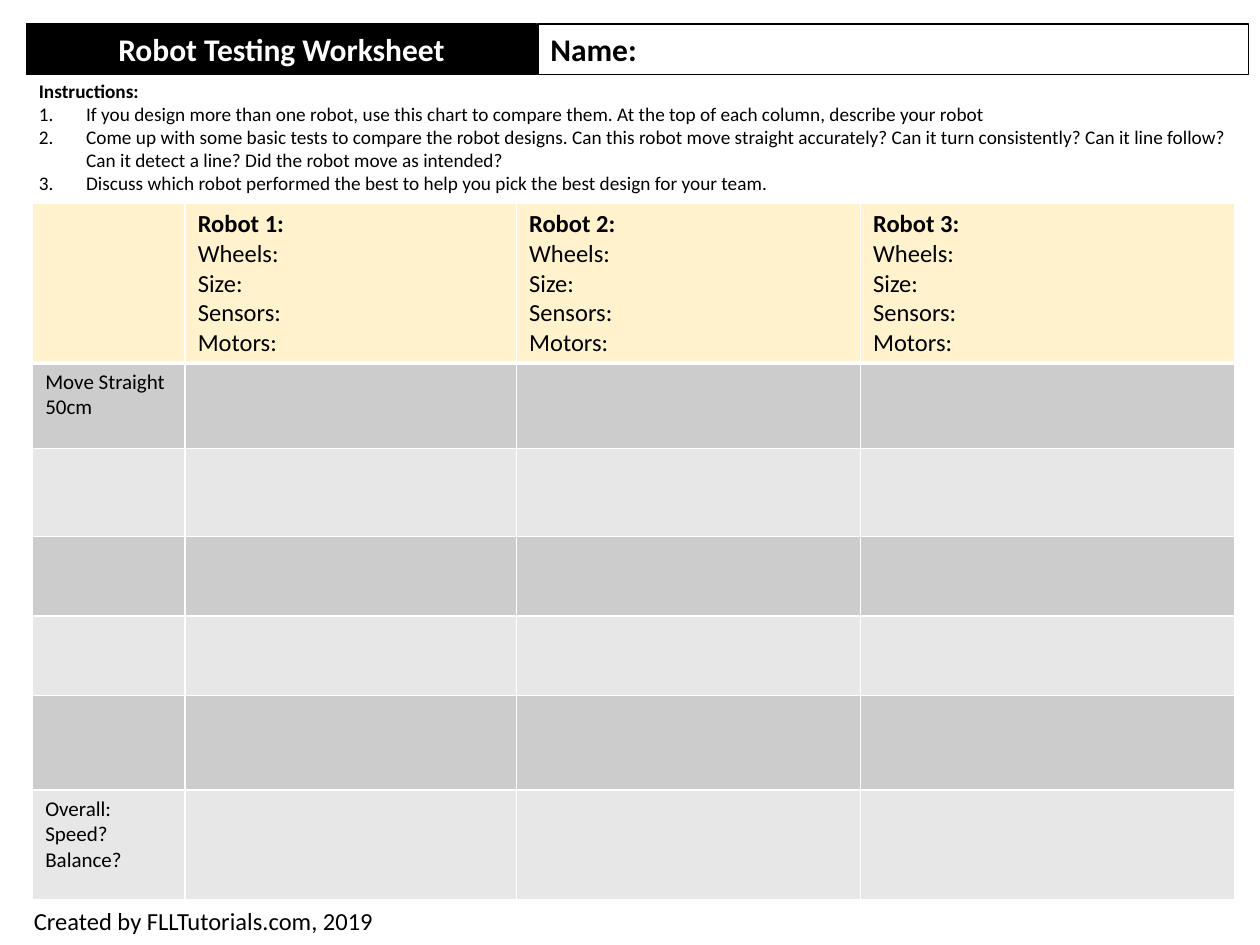
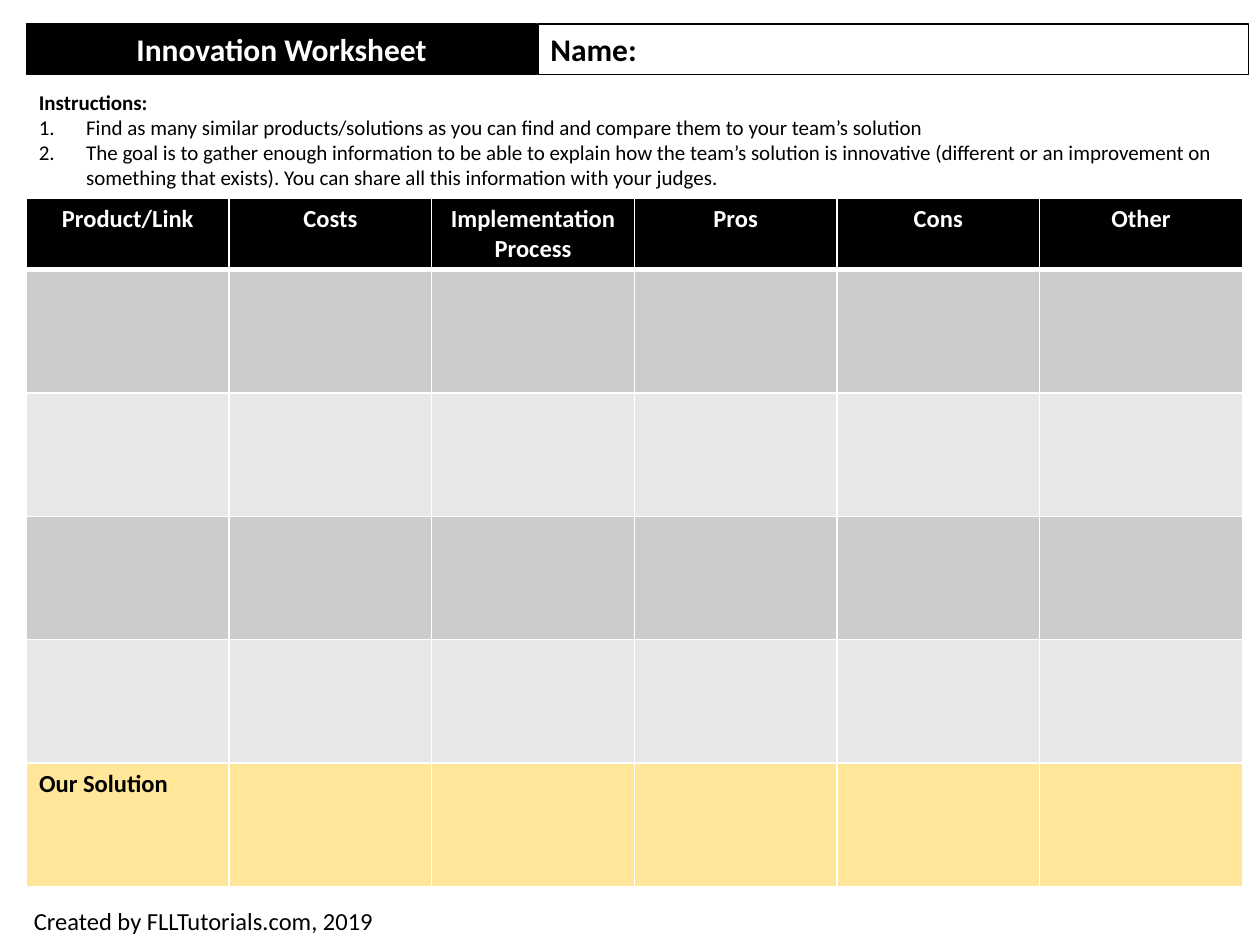
"""Build two team worksheets: robot testing and innovation."""
from lxml.etree import SubElement
from pptx import Presentation
from pptx.dml.color import RGBColor
from pptx.enum.shapes import MSO_SHAPE
from pptx.enum.text import MSO_ANCHOR, PP_ALIGN
from pptx.oxml import parse_xml
from pptx.oxml.ns import nsdecls, qn
from pptx.util import Inches, Pt

BLACK, WHITE = "000000", "FFFFFF"
DARK_BAND, LIGHT_BAND = "CCCCCC", "E7E7E7"
CREAM, GOLD = "FFF2CC", "FFE699"


def rgb(code):
    return RGBColor.from_string(code)


def write(frame, lines, size=14, color=BLACK, bold_lines=0, align=PP_ALIGN.LEFT, numbered=False):
    frame.word_wrap = True
    for index, line in enumerate(lines):
        paragraph = frame.paragraphs[0] if index == 0 else frame.add_paragraph()
        paragraph.alignment = align
        if numbered and index > 0:
            properties = paragraph._p.get_or_add_pPr()
            properties.set("marL", str(Inches(0.375)))
            properties.set("indent", str(-Inches(0.375)))
            SubElement(properties, qn("a:buFont"), typeface="+mj-lt")
            SubElement(properties, qn("a:buAutoNum"), type="arabicPeriod")
        run = paragraph.add_run()
        run.text = line
        run.font.name = "Calibri"
        run.font.size = Pt(size)
        run.font.bold = index < bold_lines
        run.font.color.rgb = rgb(color)


robot_details = ["Wheels:", "Size:", "Sensors:", "Motors:"]
robot_heads = {(0, n): [f"Robot {n}:", *robot_details] for n in (1, 2, 3)}
innovation_heads = ["Product/Link", "Costs", "Implementation Process", "Pros", "Cons", "Other"]

worksheets = [
    dict(
        title="Robot Testing Worksheet",
        instructions=[
            "If you design more than one robot, use this chart to compare them. "
            "At the top of each column, describe your robot",
            "Come up with some basic tests to compare the robot designs. "
            "Can this robot move straight accurately? Can it turn consistently? "
            "Can it line follow? Can it detect a line? Did the robot move as intended?",
            "Discuss which robot performed the best to help you pick the best design for your team.",
        ],
        instruction_box=(0.21, 0.58, 9.69, 1.03),
        instruction_size=11,
        grid_corner=(0.26, 1.61),
        widths=[1.21, 2.63, 2.73, 2.97],
        heights=[1.27, 0.68, 0.7, 0.63, 0.63, 0.75, 0.87],
        special_fills={0: CREAM},
        entries={**robot_heads, (1, 0): ["Move Straight 50cm"], (6, 0): ["Overall: Speed? Balance?"]},
        head_format=dict(bold_lines=1),
        label_format=dict(size=12),
    ),
    dict(
        title="Innovation Worksheet",
        instructions=[
            "Find as many similar products/solutions as you can find and compare them "
            "to your team’s solution",
            "The goal is to gather enough information to be able to explain how the team’s "
            "solution is innovative (different or an improvement on something that exists). "
            "You can share all this information with your judges.",
        ],
        instruction_box=(0.21, 0.66, 9.65, 0.91),
        instruction_size=12,
        grid_corner=(0.21, 1.57),
        widths=[9.65 / 6] * 6,
        heights=[0.55] + [0.98] * 5,
        special_fills={0: BLACK, 5: GOLD},
        entries={
            **{(0, column): [head] for column, head in enumerate(innovation_heads)},
            (5, 0): ["Our Solution"],
        },
        head_format=dict(color=WHITE, bold_lines=1, align=PP_ALIGN.CENTER),
        label_format=dict(bold_lines=1),
    ),
]

deck = Presentation()
deck.slide_width, deck.slide_height = Inches(10), Inches(7.5)

for sheet in worksheets:
    slide = deck.slides.add_slide(deck.slide_layouts[6])

    for left, width, band_text, fill, ink, align in [
        (0.21, 4.05, sheet["title"], BLACK, WHITE, PP_ALIGN.CENTER),
        (4.27, 5.64, "Name:", WHITE, BLACK, PP_ALIGN.LEFT),
    ]:
        band = slide.shapes.add_shape(
            MSO_SHAPE.RECTANGLE, Inches(left), Inches(0.19), Inches(width), Inches(0.4)
        )
        band.shadow.inherit = False
        band.fill.solid()
        band.fill.fore_color.rgb = rgb(fill)
        band.line.color.rgb = rgb(BLACK)
        band.line.width = Pt(0.75)
        band.text_frame.vertical_anchor = MSO_ANCHOR.TOP
        write(band.text_frame, [band_text], size=18, color=ink, bold_lines=1, align=align)

    instructions = slide.shapes.add_textbox(*map(Inches, sheet["instruction_box"]))
    write(instructions.text_frame, ["Instructions:", *sheet["instructions"]],
          size=sheet["instruction_size"], bold_lines=1, numbered=True)

    credit = slide.shapes.add_textbox(Inches(0.17), Inches(7.14), Inches(4.91), Inches(0.34))
    write(credit.text_frame, ["Created by FLLTutorials.com, 2019"])

    widths, heights = sheet["widths"], sheet["heights"]
    grid = slide.shapes.add_table(
        len(heights), len(widths), *map(Inches, sheet["grid_corner"]),
        Inches(sum(widths)), Inches(sum(heights))
    ).table
    for column, width in enumerate(widths):
        grid.columns[column].width = Inches(width)
    for row, height in enumerate(heights):
        grid.rows[row].height = Inches(height)
        band_fill = DARK_BAND if row % 2 else LIGHT_BAND
        for column in range(len(widths)):
            cell = grid.cell(row, column)
            cell.fill.solid()
            cell.fill.fore_color.rgb = rgb(sheet["special_fills"].get(row, band_fill))
            edges = {"lnL": 1, "lnR": 1, "lnT": 3 if row == 1 else 1, "lnB": 3 if row == 0 else 1}
            for position, (edge, weight) in enumerate(edges.items()):
                cell._tc.get_or_add_tcPr().insert(position, parse_xml(
                    f'<a:{edge} {nsdecls("a")} w="{Pt(weight)}"><a:solidFill>'
                    f'<a:srgbClr val="{WHITE}"/></a:solidFill></a:{edge}>'
                ))
            if (row, column) in sheet["entries"]:
                entry_format = sheet["label_format"] if row else sheet["head_format"]
                write(cell.text_frame, sheet["entries"][row, column], **entry_format)

deck.save("out.pptx")
